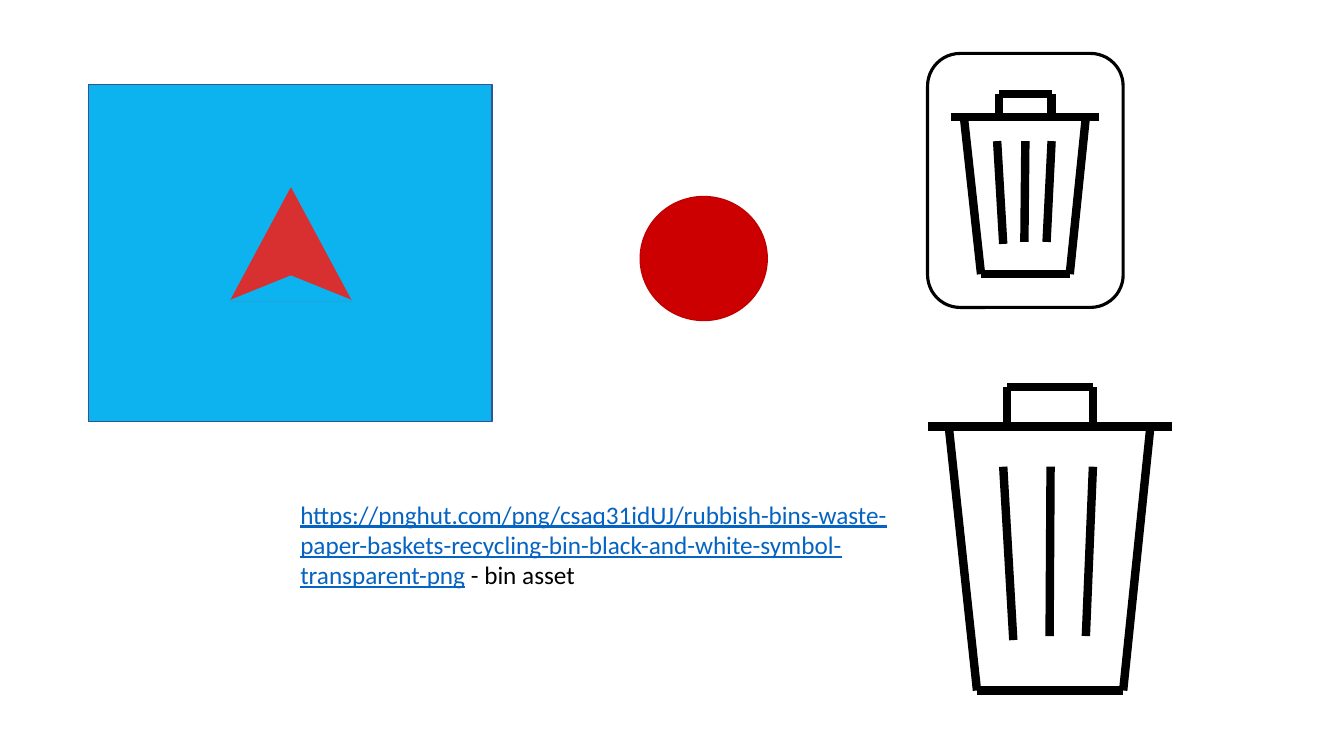
import pptx
import pptx.util
import pptx.dml.color
import pptx.enum.shapes
import pptx.enum.text
import pptx.oxml.ns
import lxml.etree

RGB = pptx.dml.color.RGBColor
KIND = pptx.enum.shapes.MSO_SHAPE
SCALE = 9144  # EMU in one px, 100 px to the inch

BLACK = RGB(0x00, 0x00, 0x00)
SKY = RGB(0x0C, 0xB3, 0xEE)
NAVY = RGB(0x32, 0x54, 0x91)
RED = RGB(0xD8, 0x30, 0x30)
ROSE = RGB(0xCC, 0x00, 0x00)
WINE = RGB(0xC0, 0x00, 0x00)
LINK = RGB(0x05, 0x63, 0xC1)

# Bin strokes (x1, y1, x2, y2) in a frame of 242 by 301
BIN_W, BIN_H = 242, 301
STROKES = [
    (21, 39, 49, 301), (221, 39, 194, 301), (194, 301, 49, 301),  # body
    (242, 39, 0, 39),  # lid
    (79, 39, 79, 0), (164, 39, 164, 0), (79, 0, 164, 0),  # handle
    (122, 79, 121, 247), (164, 79, 157, 247), (75, 79, 85, 251),  # ribs
]


def emu(*sizes):
    return [pptx.util.Emu(round(size) * SCALE) for size in sizes]


class Board:
    """Holds the style and the current slide."""

    font = "Calibri"
    size = 18
    stroke = 6

    def __init__(self, deck):
        self.slide = deck.slides.add_slide(deck.slide_layouts[6])
        self.shapes = self.slide.shapes

    def shape(self, kind, box, fill, edge, width=1, home=None):
        item = (home or self.shapes).add_shape(kind, *emu(*box))
        item.shadow.inherit = False
        if fill is None:
            item.fill.background()
        else:
            item.fill.solid()
            item.fill.fore_color.rgb = fill
        item.line.color.rgb = edge
        item.line.width = pptx.util.Pt(width)
        return item

    def line(self, ends, home):
        item = home.add_connector(
            pptx.enum.shapes.MSO_CONNECTOR.STRAIGHT, *emu(*ends))
        item.line.color.rgb = BLACK
        item.line.width = pptx.util.Pt(self.stroke)
        lxml.etree.SubElement(
            item._element.spPr, pptx.oxml.ns.qn("a:effectLst"))

    def bin(self, left, top, width, height, home=None):
        across, down = width / BIN_W, height / BIN_H
        for x1, y1, x2, y2 in STROKES:
            self.line((left + x1 * across, top + y1 * down,
                       left + x2 * across, top + y2 * down),
                      home or self.shapes)

    def text(self, box, link, tail):
        frame = self.shapes.add_textbox(*emu(*box)).text_frame
        frame.word_wrap = True
        frame.auto_size = pptx.enum.text.MSO_AUTO_SIZE.SHAPE_TO_FIT_TEXT
        frame.text = link
        para = frame.paragraphs[0]
        para.add_run().text = tail
        for run, color, under in zip(para.runs, (LINK, BLACK), (True, False)):
            run.font.name = self.font
            run.font.size = pptx.util.Pt(self.size)
            run.font.color.rgb = color
            run.font.underline = under


def main():
    deck = pptx.Presentation()
    deck.slide_width, deck.slide_height = emu(1333, 750)
    board = Board(deck)

    # Blue panel with the red pointer, notched by a panel-coloured triangle
    board.shape(KIND.RECTANGLE, (88, 84, 400, 334), SKY, NAVY)
    board.shape(KIND.ISOSCELES_TRIANGLE, (229, 187, 119, 111), RED, RED)
    board.shape(KIND.ISOSCELES_TRIANGLE, (229, 274, 119, 24), SKY, SKY)

    # Red dot
    board.shape(KIND.OVAL, (635, 195, 126, 123), ROSE, WINE)

    # Source of the bin
    board.text(
        (288, 490, 667, 101),
        "https://pnghut.com/png/csaq31idUJ/rubbish-bins-waste-paper-baskets-"
        "recycling-bin-black-and-white-symbol-transparent-png",
        " - bin asset")

    # Large bin
    board.bin(920, 384, BIN_W, BIN_H)

    # Small bin grouped with its button frame
    button = board.shapes.add_group_shape().shapes
    board.shape(KIND.ROUNDED_RECTANGLE, (920, 53, 194, 252),
                None, BLACK, 2.25, button)
    board.bin(943, 93, 147, 179, button)

    deck.save("out.pptx")


if __name__ == "__main__":
    main()
